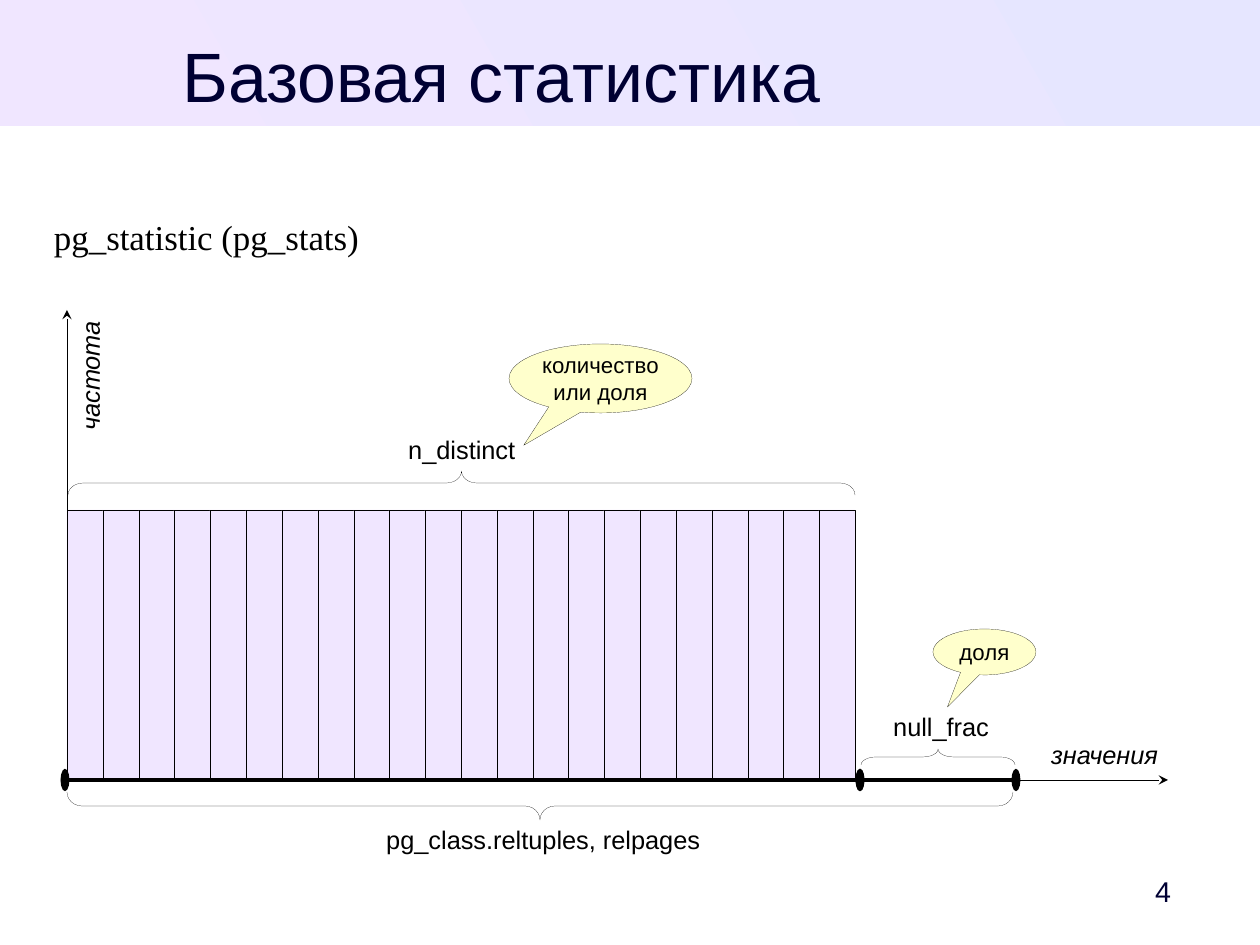
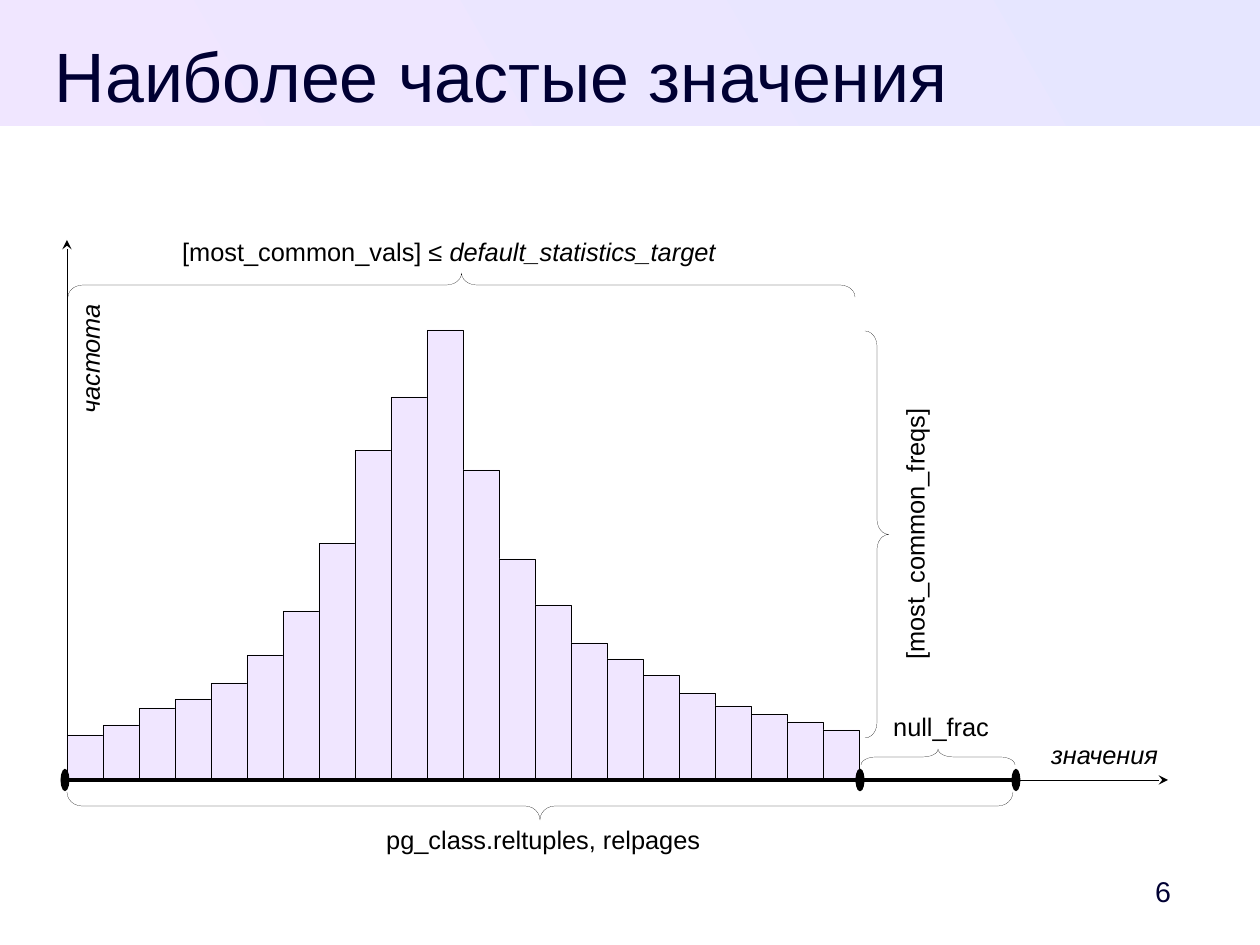
import pptx
import pptx.dml.color
import pptx.enum.shapes
import pptx.enum.text
import pptx.oxml.ns
import pptx.util
from lxml import etree

PX = 8000
RGB = pptx.dml.color.RGBColor
NAVY = RGB(0x00, 0x00, 0x33)
BLACK = RGB(0x00, 0x00, 0x00)
LILAC = RGB(0xF0, 0xE6, 0xFF)
BLUE = RGB(0xE6, 0xE6, 0xFF)
CREAM = RGB(0xFF, 0xFF, 0xCC)

SHAPE = pptx.enum.shapes.MSO_SHAPE
ALIGN = pptx.enum.text.PP_ALIGN
ANCHOR = pptx.enum.text.MSO_ANCHOR
FIT = pptx.enum.text.MSO_AUTO_SIZE

WIDTH, HEIGHT = 1260, 945
AXIS_LEFT, AXIS_RIGHT, AXIS_BASE = 67, 1168, 780
NULLS_LEFT, NULLS_RIGHT = 793, 949
BRACE_RADIUS = 15
HAIRLINE, THICK = 0.1, 2.83
FLAT_HEIGHTS = [270] * 22
PEAK_HEIGHTS = [45, 55, 72, 81, 97, 125, 169, 237, 330, 383, 450,
                310, 221, 175, 137, 121, 105, 87, 74, 66, 58, 50]


def px(*values):
    """Turn pixel lengths into EMU."""
    return [pptx.util.Emu(round(v * PX)) for v in values]


def write(p, runs, size, color=BLACK, font="Arial"):
    """Add (text, italic) runs to a paragraph."""
    for text, italic in runs:
        r = p.add_run()
        r.text = text
        r.font.name = font
        r.font.size = pptx.util.Pt(size)
        r.font.color.rgb = color
        r.font.italic = italic


def add_label(s, box, *runs, rotation=0):
    """Add a one-line diagram label."""
    sp = s.shapes.add_textbox(*px(*box))
    sp.rotation = rotation
    tf = sp.text_frame
    tf.word_wrap = False
    tf.auto_size = FIT.SHAPE_TO_FIT_TEXT
    write(tf.paragraphs[0], runs, 16)


def add_outlined(s, kind, box, fill=None):
    """Add a hairline preset shape, filled or open."""
    sp = s.shapes.add_shape(kind, *px(*box))
    sp.shadow.inherit = False
    sp.line.color.rgb = BLACK
    sp.line.width = pptx.util.Pt(HAIRLINE)
    if fill is None:
        sp.fill.background()
    else:
        sp.fill.solid()
        sp.fill.fore_color.rgb = fill
    return sp


def add_brace(s, box, pointing):
    """Add a brace that fills the box and points up, down or right."""
    x, y, w, h = box
    kind, rotation = {"up": (SHAPE.LEFT_BRACE, 90),
                      "down": (SHAPE.LEFT_BRACE, 270),
                      "right": (SHAPE.RIGHT_BRACE, 0)}[pointing]
    if rotation:
        x, y, w, h = x + (w - h) / 2, y + (h - w) / 2, h, w
    sp = add_outlined(s, kind, (x, y, w, h))
    sp.rotation = rotation
    sp.adjustments[0] = BRACE_RADIUS / w


def add_callout(s, box, tip, *lines):
    """Add an elliptical callout with centred lines."""
    sp = add_outlined(s, SHAPE.OVAL_CALLOUT, box, CREAM)
    sp.adjustments[0], sp.adjustments[1] = tip
    tf = sp.text_frame
    tf.word_wrap = False
    tf.vertical_anchor = ANCHOR.MIDDLE
    for i, line in enumerate(lines):
        p = tf.add_paragraph() if i else tf.paragraphs[0]
        p.alignment = ALIGN.CENTER
        write(p, [(line, None)], 14)


def add_line(s, start, end, width, **ends):
    """Add a straight line with the given end markers."""
    sp = s.shapes.add_connector(pptx.enum.shapes.MSO_CONNECTOR.STRAIGHT,
                                *px(*start, *end))
    sp.line.color.rgb = BLACK
    sp.line.width = pptx.util.Pt(width)
    qn = pptx.oxml.ns.qn
    ln = sp.element.spPr.find(qn("a:ln"))
    for tag, marker in ends.items():
        etree.SubElement(ln, qn("a:" + tag), marker)
    etree.SubElement(sp.element.spPr, qn("a:effectLst"))


def add_axes(s, box):
    """Draw the axes, the row and null spans and their labels."""
    x, y, w, h = box
    base = y + h
    arrow = {"type": "stealth"}
    dot = {"type": "oval", "w": "lg", "len": "sm"}
    nulls = x + NULLS_LEFT
    rows_end = x + NULLS_RIGHT
    for left, right in ((x - 2, nulls), (nulls, rows_end)):
        add_line(s, (left, base), (right, base), THICK,
                 headEnd=dot, tailEnd=dot)
    add_line(s, (rows_end, base), (x + w, base), HAIRLINE, tailEnd=arrow)
    add_line(s, (x, base), (x, y), HAIRLINE, tailEnd=arrow)
    add_brace(s, (nulls + 1, base - 31, 154, 16), "up")
    add_brace(s, (x, base + 12, 946, 28), "down")
    add_label(s, (x + 815, base - 75, 119, 40), ("null_frac", None))
    add_label(s, (x + 308, base + 38, 337, 40),
              ("pg_class.reltuples, relpages", None))
    add_label(s, (x + 973, base - 46, 136, 47), ("значения", True))


def add_bars(s, box, heights):
    """Stand adjoining bars on the bottom of the box."""
    x, y, w, h = box
    edges = [x + round(i * w / len(heights)) for i in range(len(heights) + 1)]
    for left, right, bar in zip(edges, edges[1:], heights):
        add_outlined(s, SHAPE.RECTANGLE,
                     (left, y + h - bar, right - left, bar), LILAC)


def add_band(s):
    """Put the gradient title band on the layout."""
    sp = s.shapes.add_shape(SHAPE.RECTANGLE, *px(0, 0, WIDTH, 126))
    sp.shadow.inherit = False
    sp.line.fill.background()
    sp.fill.gradient()
    sp.fill.gradient_angle = 210
    for stop, color in zip(sp.fill.gradient_stops, (BLUE, LILAC)):
        stop.color.rgb = color
    s.slide_layout.shapes.element.insert(2, sp.element)


def add_slide(prs, title, number):
    """Add a slide with its title and number."""
    s = prs.slides.add_slide(prs.slide_layouts[5])
    sp = s.shapes.title
    sp.left, sp.top, sp.width, sp.height = px(54, 33, 895, 79)
    tf = sp.text_frame
    tf.auto_size = FIT.NONE
    tf.vertical_anchor = ANCHOR.TOP
    tf.margin_left = tf.margin_top = tf.margin_right = tf.margin_bottom = 0
    p = tf.paragraphs[0]
    p.alignment = ALIGN.CENTER
    write(p, [(title, None)], 44, NAVY)

    tf = s.shapes.add_textbox(*px(1108, 864, 99, 54)).text_frame
    tf.word_wrap = True
    tf.vertical_anchor = ANCHOR.MIDDLE
    tf.margin_right = 0
    p = tf.paragraphs[0]
    p.alignment = ALIGN.CENTER
    write(p, [(str(number), None)], 18, NAVY)
    return s


def axes_box(top):
    """Return the box of the axes that start at the given height."""
    return AXIS_LEFT, top, AXIS_RIGHT - AXIS_LEFT, AXIS_BASE - top


def build_basic(s, box):
    """Draw the uniform distribution with its basic statistics."""
    x, y, w, h = box
    tf = s.shapes.add_textbox(*px(x - 13, y - 94, 1152, 44)).text_frame
    tf.word_wrap = True
    tf.margin_left = tf.margin_top = tf.margin_right = tf.margin_bottom = 0
    write(tf.paragraphs[0], [("pg_statistic (pg_stats)", None)], 22,
          font="Times New Roman")
    add_bars(s, (x, y, 788, h), FLAT_HEIGHTS)
    add_axes(s, box)
    add_label(s, (x - 41, y + 42, 133, 47), ("частота", True), rotation=270)
    add_brace(s, (x + 1, y + 161, 787, 24), "up")
    add_label(s, (x + 330, y + 119, 130, 40), ("n_distinct", None))
    add_callout(s, (x + 442, y + 34, 183, 69), (-0.42, 0.97),
                "количество", "или доля")
    add_callout(s, (x + 866, y + 319, 103, 46), (-0.36, 1.2), "доля")


def build_common(s, box):
    """Draw the peaked distribution with its most common values."""
    x, y, w, h = box
    add_bars(s, (x, y, 792, h), PEAK_HEIGHTS)
    add_axes(s, box)
    add_label(s, (x - 41, y + 95, 133, 47), ("частота", True), rotation=270)
    add_brace(s, (x + 1, y + 33, 787, 24), "up")
    add_brace(s, (x + 798, y + 91, 24, 407), "right")
    add_label(s, (x + 104, y - 9, 585, 40), ("[most_common_vals] ≤ ", None),
              ("default_statistics_target", True))
    add_label(s, (x + 724, y + 259, 274, 69), ("[most_common_freqs]", None),
              rotation=270)


def main():
    """Build and save the presentation."""
    prs = pptx.Presentation()
    prs.slide_width, prs.slide_height = px(WIDTH, HEIGHT)
    s = add_slide(prs, "Базовая статистика", 4)
    add_band(s)
    build_basic(s, axes_box(310))
    s = add_slide(prs, "Наиболее частые значения", 6)
    build_common(s, axes_box(240))
    prs.save("out.pptx")


if __name__ == "__main__":
    main()
